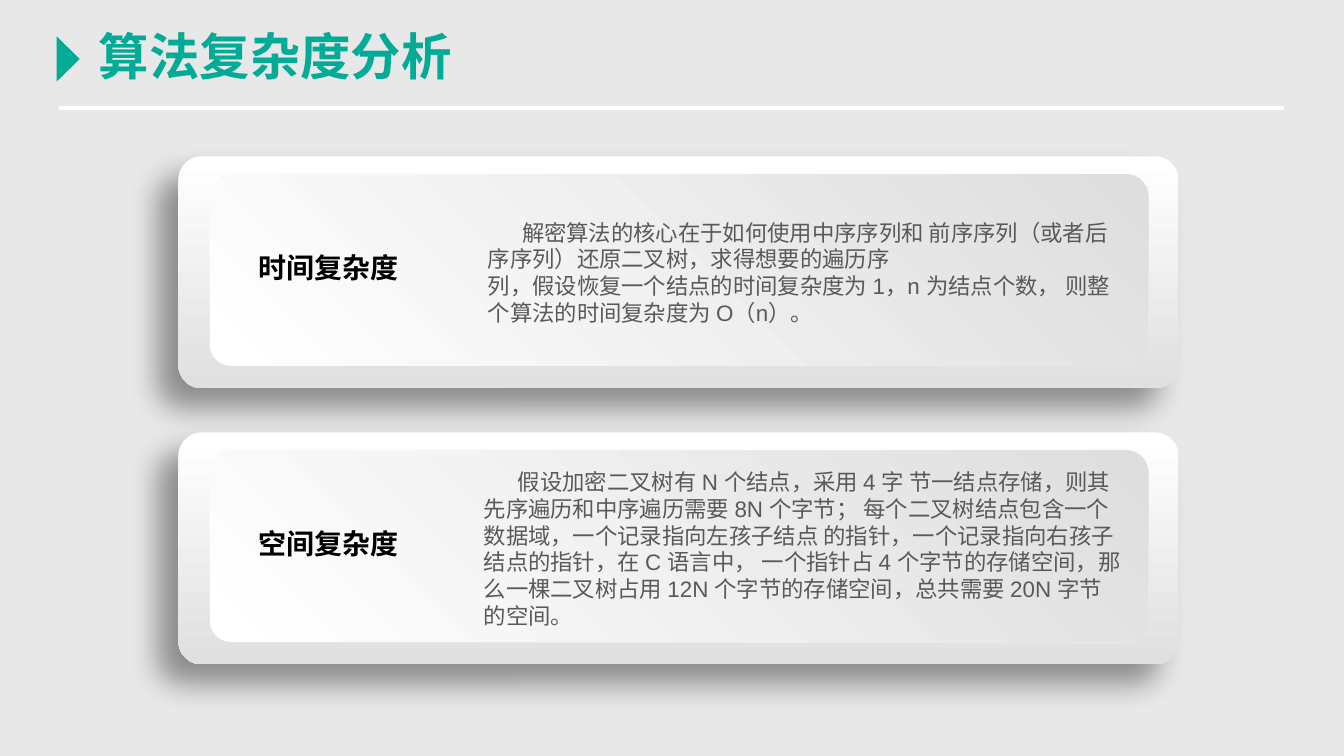
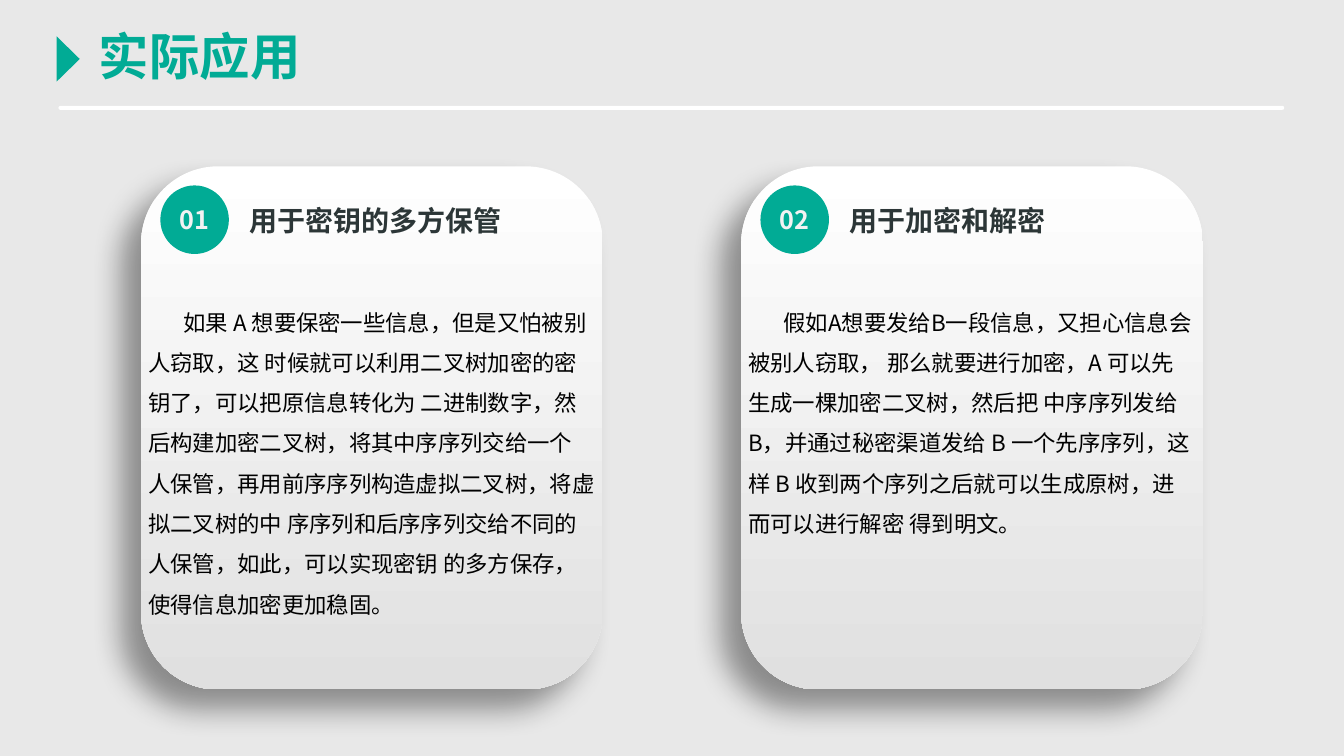
import pptx
import pptx.dml.color
import pptx.enum.shapes
import pptx.enum.text
import pptx.oxml
import pptx.oxml.ns
import pptx.util
import lxml.etree

SHAPES = pptx.enum.shapes.MSO_SHAPE
ALIGN = pptx.enum.text.PP_ALIGN
ANCHOR = pptx.enum.text.MSO_ANCHOR
NOTO = "Noto Sans CJK SC"
GREEN = "01AB95"
WHITE = "FFFFFF"
CARD_COLOURS = (WHITE, "E0E0E0")
PANEL_COLOURS = (WHITE, "DDDEDD")

presentation = pptx.Presentation()
presentation.slide_width = pptx.util.Inches(13.33)
presentation.slide_height = pptx.util.Inches(7.5)
SIDES = (presentation.slide_width, presentation.slide_height) * 2


def add_box(slide, kind, box, colours=(), angle=270, rounding=None, shadow=False):
    """Add a shape, or a text box when kind is None; box is in percent of the slide."""
    place = [int(share * side / 100) for share, side in zip(box, SIDES)]
    if kind is None:
        return slide.shapes.add_textbox(*place)
    shape = slide.shapes.add_shape(kind, *place)
    shape.shadow.inherit = False
    if rounding is not None:
        shape.adjustments[0] = rounding
    if len(colours) == 1:
        shape.fill.solid()
        shape.fill.fore_color.rgb = pptx.dml.color.RGBColor.from_string(colours[0])
    else:
        shape.fill.gradient()
        shape.fill.gradient_angle = angle
        for stop, colour in zip(shape.fill.gradient_stops, colours):
            stop.color.rgb = pptx.dml.color.RGBColor.from_string(colour)
    shape.line.fill.background()
    if shadow:
        effects = shape.element.spPr.find(pptx.oxml.ns.qn("a:effectLst"))
        effects.append(pptx.oxml.parse_xml(
            f'<a:outerShdw {pptx.oxml.ns.nsdecls("a")} blurRad="{pptx.util.Pt(22)}" '
            f'dist="{pptx.util.Pt(20)}" dir="8100000" algn="tr" rotWithShape="0">'
            '<a:srgbClr val="000000"><a:alpha val="40000"/></a:srgbClr></a:outerShdw>'))
    return shape


def write(shape, text, size, colour, font="Arial", east_asian=None, bold=False,
          align=ALIGN.LEFT, anchor=ANCHOR.TOP, insets=(0.1, 0.05), spacing=1.0, indent=0):
    """Write one paragraph per line of text; indent applies to the first one."""
    frame = shape.text_frame
    frame.word_wrap = True
    frame.auto_size = pptx.enum.text.MSO_AUTO_SIZE.NONE
    frame.vertical_anchor = anchor
    frame.margin_left = frame.margin_right = pptx.util.Inches(insets[0])
    frame.margin_top = frame.margin_bottom = pptx.util.Inches(insets[1])
    frame.text = text
    for number, paragraph in enumerate(frame.paragraphs):
        paragraph.alignment = align
        paragraph.line_spacing = spacing
        if indent and number == 0:
            paragraph._p.get_or_add_pPr().set("indent", str(pptx.util.Inches(indent)))
        for run in paragraph.runs:
            run.font.name = font
            run.font.size = pptx.util.Pt(size)
            run.font.bold = bold
            run.font.color.rgb = pptx.dml.color.RGBColor.from_string(colour)
            if east_asian:
                lxml.etree.SubElement(run._r.get_or_add_rPr(), pptx.oxml.ns.qn("a:ea"),
                                      typeface=east_asian)


# Shared background and titles
background = presentation.slide_master.background.fill
background.solid()
background.fore_color.rgb = pptx.dml.color.RGBColor.from_string("E8E8E8")
layout = presentation.slide_layouts[5]
slides = []
for title in ("算法复杂度分析", "实际应用"):
    slide = presentation.slides.add_slide(layout)
    heading = slide.shapes.title
    heading.left, heading.top, heading.width, heading.height = [
        int(share * side / 100) for share, side in zip((6.6, 2.7, 80, 9.5), SIDES)]
    write(heading, title, 36, GREEN, east_asian=NOTO, bold=True)
    slides.append(slide)
complexity, applications = slides

# Rule and title marker live on the layout
rule = add_box(complexity, SHAPES.ROUNDED_RECTANGLE, (4.35, 14, 91.2, 0.53), [WHITE], rounding=0.5)
marker = add_box(complexity, SHAPES.ISOSCELES_TRIANGLE, (3.38, 6.27, 3.38, 3.07), [GREEN])
marker.rotation = 90
for shape in (rule, marker):
    layout.shapes.element.append(shape.element)

# Complexity: two wide cards, one below the other
ANALYSES = [
    ("时间复杂度", 35.55,
     "解密算法的核心在于如何使用中序序列和 前序序列（或者后序序列）还原二叉树，求得想要的遍历序\n"
     "列，假设恢复一个结点的时间复杂度为 1，n 为结点个数， 则整个算法的时间复杂度为 O（n）。"),
    ("空间复杂度", 35.25,
     "假设加密二叉树有 N 个结点，采用 4 字 节一结点存储，则其先序遍历和中序遍历需要 8N 个字节； "
     "每个二叉树结点包含一个数据域，一个记录指向左孩子结点 的指针，一个记录指向右孩子结点的指针，"
     "在 C 语言中， 一个指针占 4 个字节的存储空间，那么一棵二叉树占用 12N 个字节的存储空间，"
     "总共需要 20N 字节的空间。"),
]
for row, (label, body_left, body) in enumerate(ANALYSES):
    top = 20.67 + row * 36.53
    panel_top, panel_height = top + 2.4, 25.33
    add_box(complexity, SHAPES.ROUNDED_RECTANGLE, (13.28, top, 74.4, 30.67), CARD_COLOURS,
            rounding=0.1, shadow=True)
    add_box(complexity, SHAPES.ROUNDED_RECTANGLE, (15.6, panel_top, 69.83, panel_height),
            PANEL_COLOURS, angle=45, rounding=0.115)
    write(add_box(complexity, None, (17.63, panel_top, 13.6, panel_height)), label, 20, "000000",
          font="Arial Narrow", east_asian=NOTO, bold=True, align=ALIGN.CENTER,
          anchor=ANCHOR.MIDDLE, spacing=0.8)
    write(add_box(complexity, None, (body_left, panel_top + 0.3, 84.15 - body_left, panel_height)),
          body, 16, "595959", anchor=ANCHOR.MIDDLE, indent=0.34)

# Applications: two numbered cards side by side
USES = [
    ("用于密钥的多方保管",
     "如果 A 想要保密一些信息，但是又怕被别人窃取，这 时候就可以利用二叉树加密的密钥了，"
     "可以把原信息转化为 二进制数字，然后构建加密二叉树，将其中序序列交给一个 人保管，"
     "再用前序序列构造虚拟二叉树，将虚拟二叉树的中 序序列和后序序列交给不同的人保管，"
     "如此，可以实现密钥 的多方保存，使得信息加密更加稳固。"),
    ("用于加密和解密",
     "假如A想要发给B一段信息，又担心信息会被别人窃取， 那么就要进行加密，A 可以先生成一棵加密二叉树，"
     "然后把 中序序列发给 B，并通过秘密渠道发给 B 一个先序序列，这 样 B 收到两个序列之后就可以生成原树，"
     "进而可以进行解密 得到明文。"),
]
for column, (label, body) in enumerate(USES):
    left, width = 10.5 + column * 44.65, 34.35
    add_box(applications, SHAPES.ROUNDED_RECTANGLE, (left, 22, width, 69.2), CARD_COLOURS,
            shadow=True)
    badge = add_box(applications, SHAPES.OVAL, (left + 1.43, 24.53, 5.1, 9.07), [GREEN])
    write(badge, f"{column + 1:02}", 18, "F2F2F2", font=NOTO, east_asian=NOTO, bold=True,
          align=ALIGN.CENTER, anchor=ANCHOR.MIDDLE, insets=(0, 0.05))
    write(add_box(applications, None, (left + 7.53, 26.4, 21.5, 5.5)), label, 20, "2C3637",
          font=NOTO, east_asian=NOTO, bold=True, insets=(0.07, 0.04))
    write(add_box(applications, None, (left, 38.53, width, 44.13)), body, 16, "000000",
          font=NOTO, east_asian=NOTO, insets=(0.07, 0.04), spacing=1.5, indent=0.35)

presentation.save("out.pptx")
